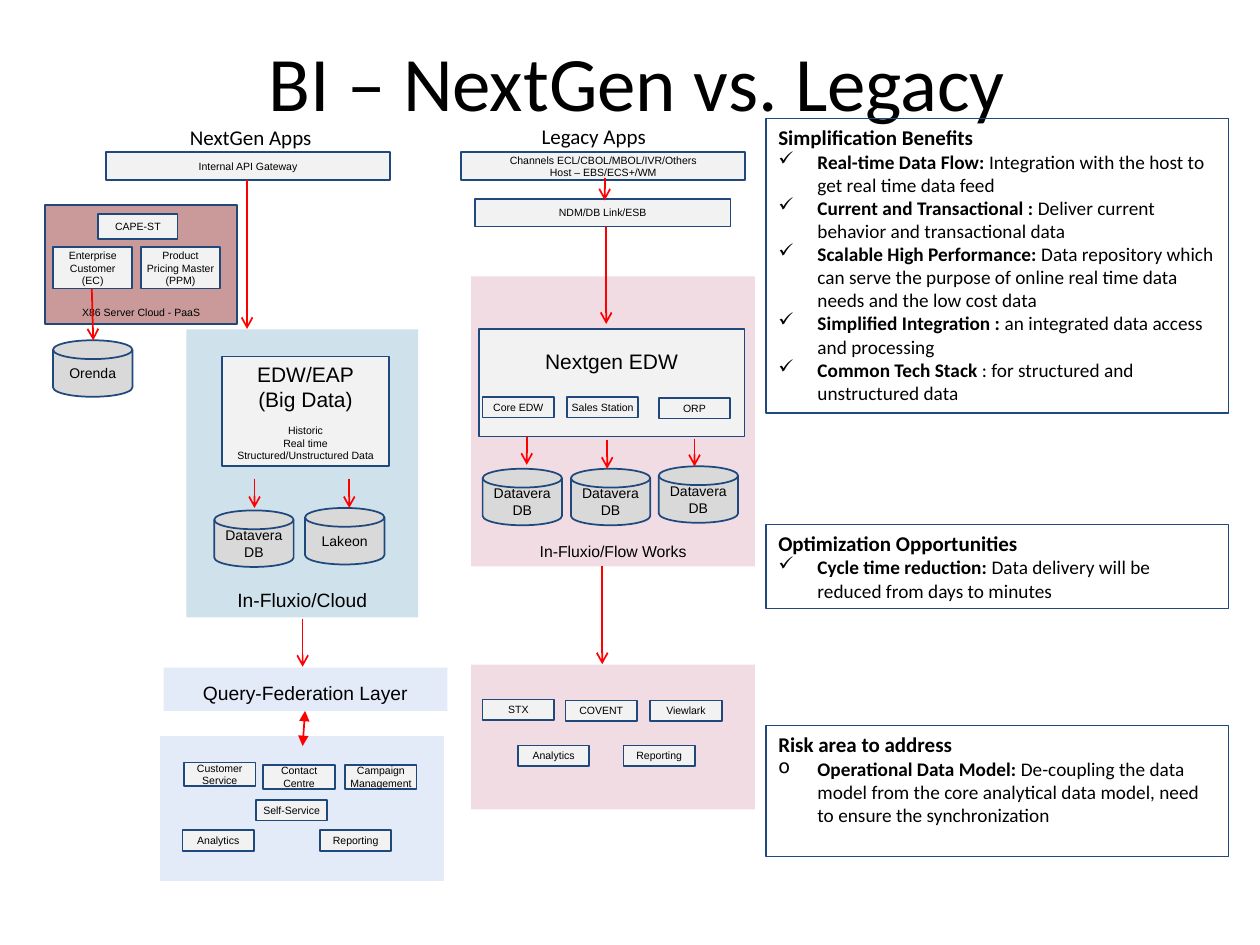
import pptx
import pptx.util
import pptx.dml.color
import pptx.enum.shapes
import pptx.enum.text
import pptx.oxml.ns

Cm, Pt = pptx.util.Cm, pptx.util.Pt
RGBColor = pptx.dml.color.RGBColor
SHAPE = pptx.enum.shapes.MSO_SHAPE
ANCHOR = pptx.enum.text.MSO_ANCHOR
ALIGN = pptx.enum.text.PP_ALIGN
qn = pptx.oxml.ns.qn

BLACK = RGBColor(0x00, 0x00, 0x00)
NAVY = RGBColor(0x1F, 0x49, 0x7D)
RED = RGBColor(0xFF, 0x00, 0x00)
TEAL = RGBColor(0x0F, 0x6A, 0x9D)
BRICK = RGBColor(0x95, 0x37, 0x35)
PINK = RGBColor(0xE7, 0xBB, 0xCB)
SKY = RGBColor(0xC6, 0xD9, 0xF1)
BOX_GREY = RGBColor(0xF2, 0xF2, 0xF2)
DISK_GREY = RGBColor(0xD9, 0xD9, 0xD9)

# All positions and sizes are in centimetres: left, top, width, height
HEADINGS = [
    ("BI – NextGen vs. Legacy", 44, (1.42, 0.03, 22.86, 3.18), ALIGN.CENTER, ANCHOR.MIDDLE),
    ("NextGen Apps", 12, (3.58, 2.39, 3.25, 0.76), ALIGN.LEFT, ANCHOR.TOP),
    ("Legacy Apps", 12, (10.67, 2.36, 2.95, 0.76), ALIGN.LEFT, ANCHOR.TOP),
]

# text, size, place, fill, opacity in percent, outlined
PANELS = [
    ("In-Fluxio/Cloud", 11, (3.76, 6.64, 4.67, 5.81), TEAL, 20, False),
    ("X86 Server Cloud - PaaS", 6, (0.91, 4.14, 3.87, 2.4), BRICK, 50, True),
    ("In-Fluxio/Flow Works", 9, (9.5, 5.57, 5.72, 5.85), PINK, 50, False),
    ("", 9, (9.5, 13.4, 5.72, 2.92), PINK, 50, False),
    ("", 9, (3.23, 14.84, 5.72, 2.92), SKY, 50, False),
    ("Query-Federation Layer", 11, (3.3, 13.46, 5.72, 0.87), SKY, 50, False),
]

BOXES = [
    ("Internal API Gateway", (2.14, 3.07, 5.72, 0.56)),
    ("Channels ECL/CBOL/MBOL/IVR/Others\nHost – EBS/ECS+/WM", (9.3, 3.07, 5.72, 0.56)),
    ("NDM/DB Link/ESB", (9.57, 4.01, 5.16, 0.56)),
    ("CAPE-ST", (1.98, 4.32, 1.6, 0.5)),
    ("Enterprise\nCustomer\n(EC)", (1.07, 4.98, 1.6, 0.84)),
    ("Product\nPricing Master\n(PPM)", (2.84, 4.98, 1.6, 0.84)),
]
NEXTGEN_EDW = ("Nextgen EDW", (9.65, 6.63, 5.36, 2.17))
BIG_DATA = ("EDW/EAP\n(Big Data)", "Historic\nReal time\nStructured/Unstructured Data",
            (4.47, 7.19, 3.38, 2.21))

TAG_W, TAG_H, TALL_TAG_H = 1.44, 0.41, 0.48
TAGS = [
    ("Core EDW", 9.73, 8.01), ("Sales Station", 11.43, 8.01), ("ORP", 13.28, 8.03),
    ("STX", 9.73, 14.1), ("COVENT", 11.4, 14.12), ("Viewlark", 13.11, 14.12),
    ("Analytics", 10.44, 15.03), ("Reporting", 12.57, 15.03),
    ("Customer\nService", 3.71, 15.37), ("Contact\nCentre", 5.31, 15.42),
    ("Campaign\nManagement", 6.96, 15.42), ("Self-Service", 5.16, 16.13),
    ("Analytics", 3.68, 16.74), ("Reporting", 6.45, 16.74),
]

DISK_W, DISK_H = 1.6, 1.14
DISKS = [
    ("Orenda", 1.07, 6.86), ("Datavera\nDB", 4.32, 10.29), ("Lakeon", 6.15, 10.24),
    ("Datavera\nDB", 9.73, 9.45), ("Datavera\nDB", 11.51, 9.45), ("Datavera\nDB", 13.28, 9.4),
]

# from x, from y, to x, to y
ARROWS = [
    (4.98, 3.63, 4.98, 6.63), (1.85, 5.82, 1.88, 6.86),
    (5.13, 9.65, 5.13, 10.24), (7.04, 9.65, 7.04, 10.24), (6.1, 12.47, 6.1, 13.44),
    (12.19, 3.58, 12.19, 4.04), (12.22, 4.57, 12.22, 6.53),
    (10.62, 8.81, 10.62, 9.37), (12.24, 8.86, 12.24, 9.45), (14, 8.84, 14, 9.4),
    (12.14, 11.4, 12.14, 13.39),
]
TWO_WAY_ARROW = (6.15, 14.33, 6.1, 15.04)

# title, top, height, bullet, points
CALLOUT_X, CALLOUT_W, BULLET_INDENT = 15.44, 9.32, 0.79
CALLOUTS = [
    ("Simplification Benefits", 2.39, 5.94, "✓", [
        ("Real-time Data Flow: ", "Integration with the host to get real time data feed"),
        ("Current and Transactional : ", "Deliver current behavior and transactional data"),
        ("Scalable High Performance: ", "Data repository which can serve the purpose of "
         "online real time data needs and the low cost data"),
        ("Simplified Integration : ", "an integrated data access and processing"),
        ("Common Tech Stack ", ": for structured and unstructured data"),
    ]),
    ("Optimization Opportunities", 10.57, 1.7, "✓", [
        ("Cycle time reduction: ", "Data delivery will be reduced from days to minutes"),
    ]),
    ("Risk area to address", 14.63, 2.64, "o", [
        ("Operational Data Model: ", "De-coupling the data model from the core analytical "
         "data model, need to ensure the synchronization"),
    ]),
]

prs = pptx.Presentation()
prs.slide_width, prs.slide_height = Cm(25.4), Cm(19.05)
s = prs.slides.add_slide(prs.slide_layouts[6])


def add_run(p, text, size, font="Arial", bold=False):
    r = p.add_run()
    r.text = text
    r.font.size, r.font.name, r.font.bold = Pt(size), font, bold
    r.font.color.rgb = BLACK


def add_lines(tf, text, size, font="Arial", align=ALIGN.CENTER):
    """Write one paragraph per line, after any text already there; return the first."""
    first = None
    for line in text.split("\n"):
        p = tf.add_paragraph() if tf.paragraphs[0].runs else tf.paragraphs[0]
        p.alignment = align
        add_run(p, line, size, font)
        first = first or p
    return first


def add_box(place, fill=None, line=1, kind=SHAPE.RECTANGLE, anchor=ANCHOR.MIDDLE, opacity=100):
    sp = s.shapes.add_shape(kind, *map(Cm, place))
    sp.shadow.inherit = False
    if fill is None:
        sp.fill.background()
    else:
        sp.fill.solid()
        sp.fill.fore_color.rgb = fill
        if opacity < 100:
            colour = sp._element.spPr.find(".//" + qn("a:srgbClr"))
            colour.append(colour.makeelement(qn("a:alpha"), {"val": str(opacity * 1000)}))
    if line:
        sp.line.color.rgb, sp.line.width = NAVY, Pt(line)
    else:
        sp.line.fill.background()
    sp.text_frame.word_wrap = False
    sp.text_frame.vertical_anchor = anchor
    return sp.text_frame


def add_arrow(ends, **heads):
    c = s.shapes.add_connector(pptx.enum.shapes.MSO_CONNECTOR.STRAIGHT, *map(Cm, ends))
    c.line.color.rgb, c.line.width = RED, Pt(1)
    ln = c.line._get_or_add_ln()
    for end, kind in heads.items():
        ln.append(ln.makeelement(qn("a:" + end), {"type": kind}))
    spPr = c._element.spPr
    spPr.append(spPr.makeelement(qn("a:effectLst"), {}))


# Background panels
for text, size, place, fill, opacity, outlined in PANELS:
    tf = add_box(place, fill, int(outlined), anchor=ANCHOR.BOTTOM, opacity=opacity)
    if text:
        add_lines(tf, text, size)

# Title and column headings
for text, size, place, align, anchor in HEADINGS:
    tf = s.shapes.add_textbox(*map(Cm, place)).text_frame
    tf.word_wrap = size > 12
    tf.vertical_anchor = anchor
    add_lines(tf, text, size, "Calibri", align)

# Boxes; the warehouse name sits above its tags
for text, place in BOXES:
    add_lines(add_box(place, BOX_GREY), text, 6)
text, place = NEXTGEN_EDW
tf = add_box(place, BOX_GREY)
tf.margin_bottom = Cm(0.98)
add_lines(tf, text, 12)
heading, details, place = BIG_DATA
tf = add_box(place, BOX_GREY)
add_lines(tf, heading, 12)
add_lines(tf, details, 6).space_before = Pt(7)

# Tags and databases
for text, x, y in TAGS:
    height = TALL_TAG_H if "\n" in text else TAG_H
    add_lines(add_box((x, y, TAG_W, height), BOX_GREY), text, 6)
for text, x, y in DISKS:
    tf = add_box((x, y, DISK_W, DISK_H), DISK_GREY, kind=SHAPE.FLOWCHART_MAGNETIC_DISK)
    add_lines(tf, text, 8)

# Data flow arrows
for ends in ARROWS:
    add_arrow(ends, tailEnd="arrow")
add_arrow(TWO_WAY_ARROW, headEnd="triangle", tailEnd="triangle")

# Callouts
for title, top, height, bullet, points in CALLOUTS:
    tf = add_box((CALLOUT_X, top, CALLOUT_W, height), line=0.75, anchor=ANCHOR.TOP)
    tf.word_wrap = True
    p = tf.paragraphs[0]
    p.alignment = ALIGN.LEFT
    add_run(p, title, 12, "Calibri", True)
    for lead, rest in points:
        p = tf.add_paragraph()
        p.alignment = ALIGN.LEFT
        pPr = p._p.get_or_add_pPr()
        pPr.set("marL", str(Cm(BULLET_INDENT)))
        pPr.set("indent", str(-Cm(BULLET_INDENT)))
        pPr.append(pPr.makeelement(qn("a:buChar"), {"char": bullet}))
        add_run(p, lead, 11, "Calibri", True)
        add_run(p, rest, 11, "Calibri")

prs.save("out.pptx")
